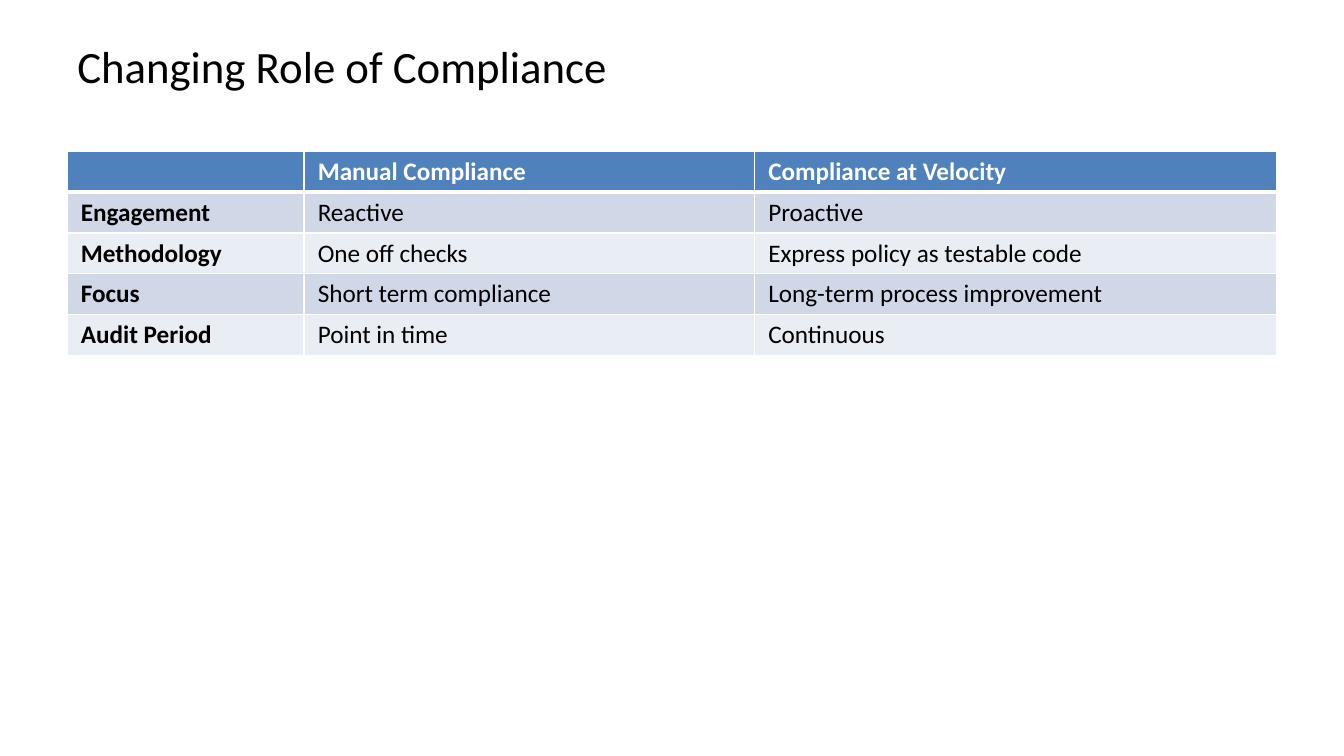
from lxml.etree import SubElement
from pptx import Presentation
from pptx.dml.color import RGBColor
from pptx.enum.text import MSO_ANCHOR, MSO_AUTO_SIZE, PP_ALIGN
from pptx.oxml.ns import qn
from pptx.util import Pt

# Content
TITLE = "Changing Role of Compliance"
ROWS = [
    ("", "Manual Compliance", "Compliance at Velocity"),
    ("Engagement", "Reactive", "Proactive"),
    ("Methodology", "One off checks", "Express policy as testable code"),
    ("Focus", "Short term compliance", "Long-term process improvement"),
    ("Audit Period", "Point in time", "Continuous"),
]

# Layout in points
LEFT, WIDTH = 48, 864
TITLE_TOP, TITLE_HEIGHT = 21.6, 50.4
TABLE_TOP, ROW_HEIGHT = 108, 29.2
COLUMN_WIDTHS = [169.2, 321.8, 373]

FONT = "Calibri"
BLACK, WHITE = "000000", "FFFFFF"
HEADER_FILL, BAND_FILLS = "4F81BD", ("D0D8E8", "E9EDF4")


def color(value):
    return RGBColor.from_string(value)


def style(para, size, ink, bold=False):
    para.font.name = FONT
    para.font.size = Pt(size)
    para.font.bold = bold
    para.font.color.rgb = color(ink)


def add_borders(cell, bottom):
    """Draw white rules on all four sides, ahead of the cell's fill."""
    properties = cell._tc.get_or_add_tcPr()
    widths = {"a:lnL": 1, "a:lnR": 1, "a:lnT": 1, "a:lnB": bottom}
    for position, (side, width) in enumerate(widths.items()):
        line = SubElement(properties, qn(side), w=str(int(Pt(width))))
        fill = SubElement(line, qn("a:solidFill"))
        SubElement(fill, qn("a:srgbClr"), val=WHITE)
        properties.insert(position, line)


deck = Presentation()
deck.slide_width, deck.slide_height = Pt(960), Pt(540)
page = deck.slides.add_slide(deck.slide_layouts[5])

# Title
title = page.shapes.title
title.left, title.top = Pt(LEFT), Pt(TITLE_TOP)
title.width, title.height = Pt(WIDTH), Pt(TITLE_HEIGHT)
frame = title.text_frame
frame.text = TITLE
frame.auto_size = MSO_AUTO_SIZE.NONE
frame.vertical_anchor = MSO_ANCHOR.MIDDLE
frame.paragraphs[0].alignment = PP_ALIGN.LEFT
style(frame.paragraphs[0], 32, BLACK)

# Comparison table
table = page.shapes.add_table(
    len(ROWS), len(COLUMN_WIDTHS), Pt(LEFT), Pt(TABLE_TOP),
    Pt(WIDTH), Pt(ROW_HEIGHT * len(ROWS))).table
for column, width in zip(table.columns, COLUMN_WIDTHS):
    column.width = Pt(width)

for r, texts in enumerate(ROWS):
    table.rows[r].height = Pt(ROW_HEIGHT)
    header = r == 0
    for c, text in enumerate(texts):
        cell = table.cell(r, c)
        cell.text = text
        cell.margin_left = cell.margin_right = Pt(9.8)
        cell.margin_top = cell.margin_bottom = Pt(3.6)
        cell.fill.solid()
        cell.fill.fore_color.rgb = color(
            HEADER_FILL if header else BAND_FILLS[(r - 1) % 2])
        style(cell.text_frame.paragraphs[0], 18,
              WHITE if header else BLACK, bold=header or c == 0)
        add_borders(cell, bottom=3 if header else 1)

deck.save("out.pptx")
